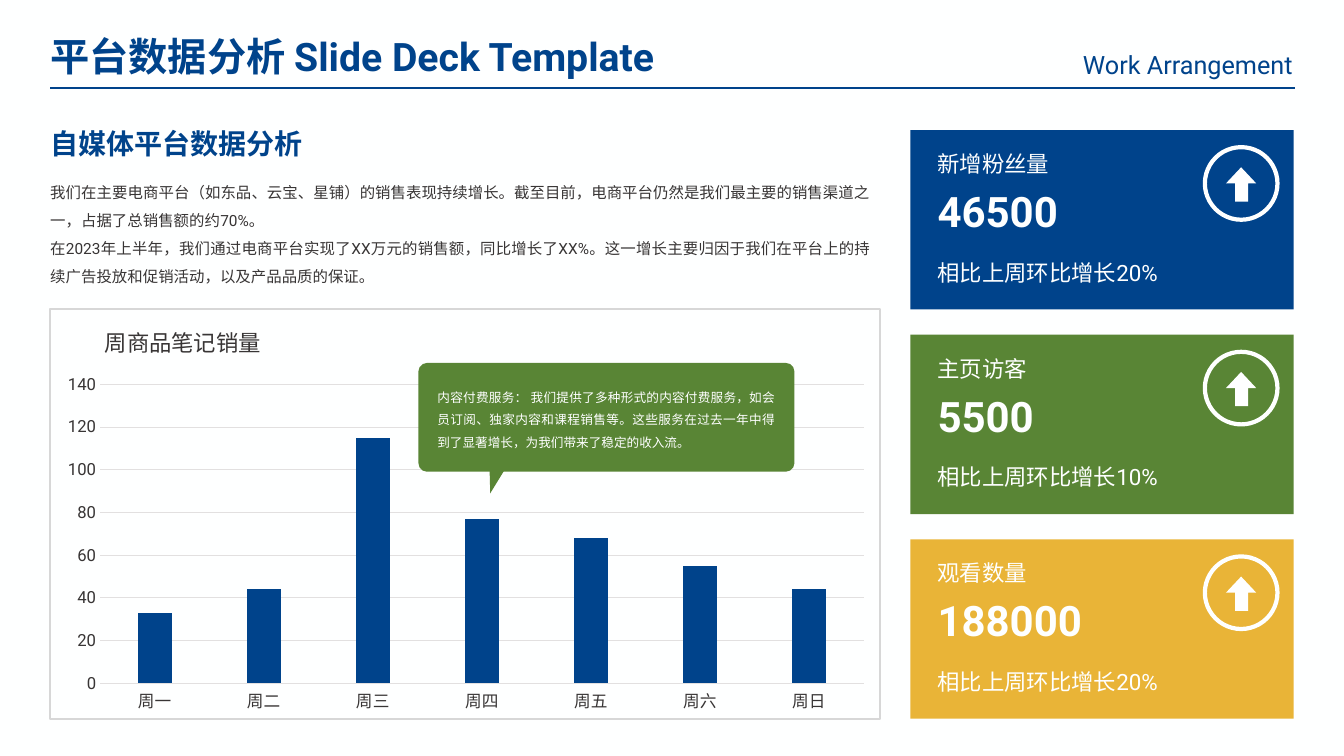
from pptx import Presentation
from pptx.chart.data import CategoryChartData
from pptx.dml.color import RGBColor
from pptx.enum.chart import XL_CHART_TYPE as ChartType, XL_TICK_MARK as TickMark
from pptx.enum.shapes import MSO_CONNECTOR as Connector, MSO_SHAPE as Shape
from pptx.enum.text import MSO_ANCHOR as Anchor, MSO_AUTO_SIZE as AutoSize, PP_ALIGN as Align
from pptx.oxml import parse_xml
from pptx.oxml.ns import nsdecls, qn
from pptx.util import Inches, Pt

FONT = "Roboto"
BLUE, GREEN, YELLOW = "00438B", "598535", "E9B437"
WHITE, DARK, BORDER, GRID = "FEFFFF", "383535", "D7D7D7", "E2E0E0"


def paint(color_format, color):
    """Fill a FillFormat, line fill or font fill with a solid hex colour."""
    color_format.solid()
    color_format.fore_color.rgb = RGBColor.from_string(color)


def write(shape, text, size, color, bold=False, align=Align.LEFT, spacing=1.0):
    text_frame = shape.text_frame
    text_frame.text = text
    text_frame.word_wrap = True
    text_frame.auto_size = AutoSize.NONE
    text_frame.vertical_anchor = Anchor.TOP
    for paragraph in text_frame.paragraphs:
        paragraph.alignment = align
        paragraph.line_spacing = spacing
        for run in paragraph.runs:
            run.font.name = FONT
            run.font.size = Pt(size)
            run.font.bold = bold
            paint(run.font.fill, color)


presentation = Presentation()
presentation.slide_width = Inches(13.33)
presentation.slide_height = Inches(7.5)
slide = presentation.slides.add_slide(presentation.slide_layouts[5])
shapes = slide.shapes
paint(slide.background.fill, WHITE)

# Header
title = shapes.title
title.left, title.top = Inches(0.4), Inches(0.27)
title.width, title.height = Inches(6.74), Inches(0.57)
write(title, "平台数据分析 Slide Deck Template", 28, BLUE, bold=True)

tagline = shapes.add_textbox(Inches(10.39), Inches(0.44), Inches(2.53), Inches(0.4))
write(tagline, "Work Arrangement", 18, BLUE, align=Align.RIGHT)

header_rule = shapes.add_connector(
    Connector.STRAIGHT, Inches(0.5), Inches(0.87), Inches(12.84), Inches(0.87))
paint(header_rule.line.fill, BLUE)
header_rule.line.width = Pt(1.5)
header_rule._element.spPr.append(parse_xml(f"<a:effectLst {nsdecls('a')}/>"))

# Introduction
heading = shapes.add_textbox(Inches(0.4), Inches(1.21), Inches(3.05), Inches(0.44))
write(heading, "自媒体平台数据分析", 20, BLUE, bold=True)

introduction = shapes.add_textbox(Inches(0.4), Inches(1.68), Inches(8.33), Inches(1.46))
write(
    introduction,
    "我们在主要电商平台（如东品、云宝、星铺）的销售表现持续增长。截至目前，"
    "电商平台仍然是我们最主要的销售渠道之一，占据了总销售额的约70%。\n"
    "在2023年上半年，我们通过电商平台实现了XX万元的销售额，同比增长了XX%。"
    "这一增长主要归因于我们在平台上的持续广告投放和促销活动，以及产品品质的保证。",
    11, DARK, align=Align.JUSTIFY, spacing=1.5)

# Chart panel
panel = shapes.add_shape(
    Shape.RECTANGLE, Inches(0.5), Inches(3.07), Inches(8.23), Inches(4.06))
panel.shadow.inherit = False
paint(panel.fill, WHITE)
paint(panel.line.fill, BORDER)
panel.line.width = Pt(1.5)

chart_heading = shapes.add_textbox(Inches(0.94), Inches(3.14), Inches(3.82), Inches(0.42))
write(chart_heading, "周商品笔记销量", 16, DARK, spacing=1.3)

chart_data = CategoryChartData()
chart_data.categories = ["周一", "周二", "周三", "周四", "周五", "周六", "周日"]
chart_data.add_series("Series 1", [33, 44, 115, 77, 68, 55, 44])
chart = shapes.add_chart(
    ChartType.COLUMN_CLUSTERED, Inches(0.5), Inches(3.64), Inches(8.23), Inches(3.49),
    chart_data).chart
chart.has_legend = False
chart.has_title = False
chart.font.name = FONT
chart.font.size = Pt(10)
paint(chart.font.fill, DARK)

for axis in (chart.category_axis, chart.value_axis):
    axis.major_tick_mark = axis.minor_tick_mark = TickMark.NONE
    axis.tick_labels.font.name = FONT
    axis.tick_labels.font.size = Pt(11.9)
    paint(axis.tick_labels.font.fill, DARK)
chart.value_axis.minimum_scale = 0
chart.value_axis.maximum_scale = 140
chart.value_axis.major_unit = 20
chart.value_axis.format.line.fill.background()
for line in (chart.category_axis.format.line, chart.value_axis.major_gridlines.format.line):
    paint(line.fill, GRID)
    line.width = Pt(0.75)

columns = chart.plots[0]
columns.gap_width = 219
columns.overlap = -27
columns.vary_by_categories = False
paint(columns.series[0].format.fill, BLUE)

plot_area = chart._chartSpace.chart.plotArea
for layout in plot_area.findall(qn("c:layout")):
    plot_area.remove(layout)
plot_area.insert(0, parse_xml(
    f"<c:layout {nsdecls('c')}><c:manualLayout>"
    '<c:layoutTarget val="inner"/><c:xMode val="edge"/><c:yMode val="edge"/>'
    '<c:x val="0.06"/><c:y val="0.05"/><c:w val="0.92"/><c:h val="0.85"/>'
    "</c:manualLayout></c:layout>"))

# Callout
bubble = shapes.add_shape(
    Shape.ROUNDED_RECTANGLE, Inches(4.15), Inches(3.6), Inches(3.73), Inches(1.08))
bubble.adjustments[0] = 0.08
callout_text = shapes.add_textbox(Inches(4.24), Inches(3.74), Inches(3.54), Inches(0.76))
write(
    callout_text,
    "内容付费服务： 我们提供了多种形式的内容付费服务，如会员订阅、独家内容和课程销售等。"
    "这些服务在过去一年中得到了显著增长，为我们带来了稳定的收入流。",
    9, WHITE, align=Align.JUSTIFY, spacing=1.5)
pointer = shapes.add_shape(
    Shape.ISOSCELES_TRIANGLE, Inches(4.8), Inches(4.53), Inches(0.22), Inches(0.37))
pointer.rotation = 195
for part in (bubble, pointer):
    part.shadow.inherit = False
    paint(part.fill, GREEN)
    part.line.fill.background()

# Metric cards
CARD_TOP, CARD_PITCH = 1.29, 2.03
ARROW_POINTS = [(0.3, 0.16), (0.22, 0.16), (0.22, 0.34), (0.09, 0.34),
                (0.09, 0.16), (0, 0.16), (0.15, 0)]
cards = [
    ("新增粉丝量", "46500", "相比上周环比增长20%", BLUE),
    ("主页访客", "5500", "相比上周环比增长10%", GREEN),
    ("观看数量", "188000", "相比上周环比增长20%", YELLOW),
]
for index, (label, value, change, color) in enumerate(cards):
    top = CARD_TOP + index * CARD_PITCH
    card = shapes.add_shape(
        Shape.RECTANGLE, Inches(9.03), Inches(top), Inches(3.8), Inches(1.78))
    card.shadow.inherit = False
    paint(card.fill, color)
    card.line.fill.background()

    icon = shapes.add_group_shape()
    points = [(Inches(12.16 + x), Inches(top + 0.37 + y)) for x, y in ARROW_POINTS]
    builder = icon.shapes.build_freeform(*points[0])
    builder.add_line_segments(points[1:], close=True)
    arrow = builder.convert_to_shape()
    arrow.shadow.inherit = False
    paint(arrow.fill, WHITE)
    arrow.line.fill.background()
    ring = icon.shapes.add_shape(
        Shape.OVAL, Inches(11.95), Inches(top + 0.17), Inches(0.72), Inches(0.72))
    ring.shadow.inherit = False
    ring.fill.background()
    paint(ring.line.fill, WHITE)
    ring.line.width = Pt(3)

    for text, offset, height, size in (
            (label, 0.15, 0.37, 16), (value, 0.5, 0.61, 30), (change, 1.23, 0.37, 16)):
        box = shapes.add_textbox(
            Inches(9.2), Inches(top + offset), Inches(2.48), Inches(height))
        write(box, text, size, WHITE, bold=text == value)

presentation.save("out.pptx")
